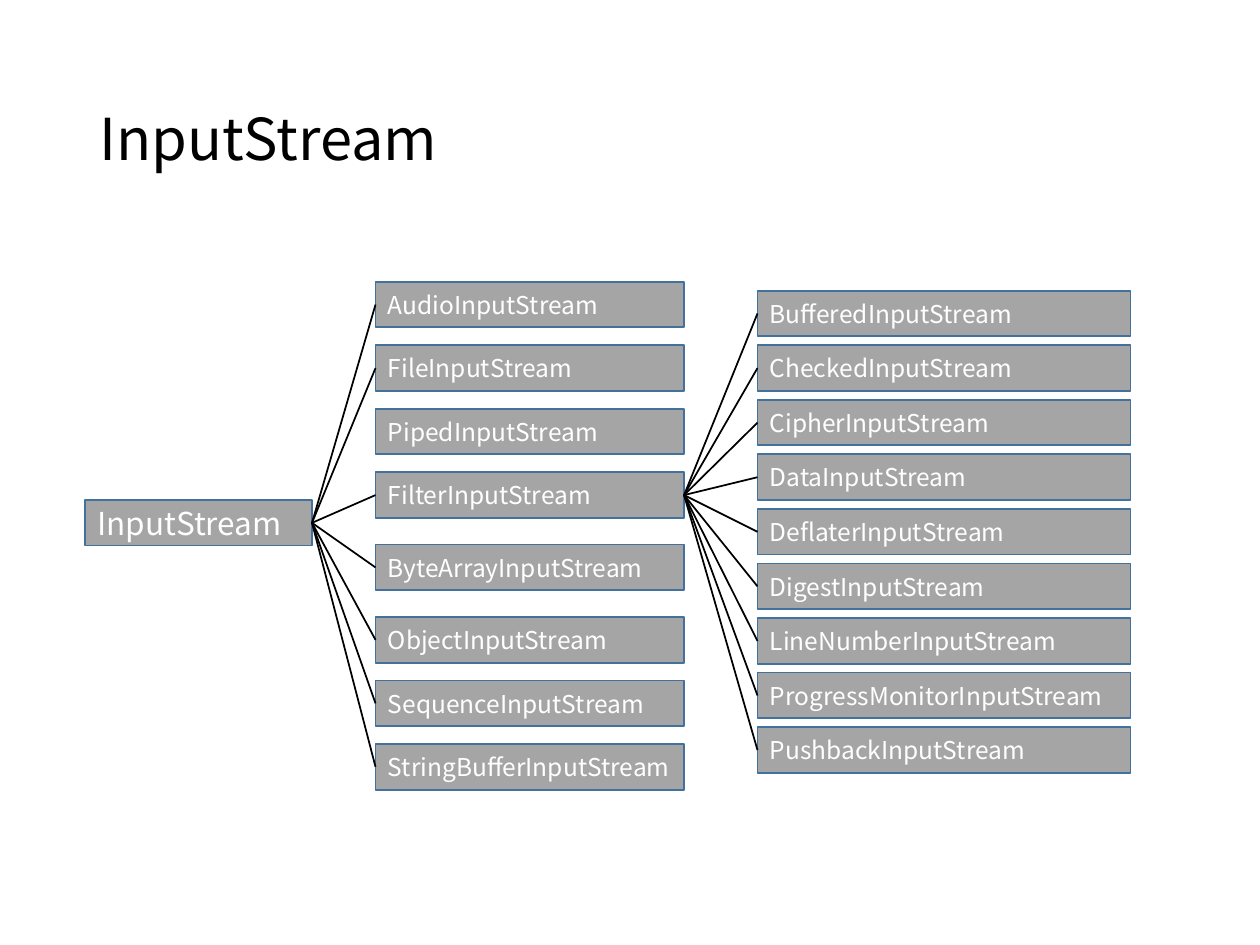
from lxml import etree
from pptx import Presentation
from pptx import util as u
from pptx.dml.color import RGBColor
from pptx.enum import shapes, text
from pptx.oxml import ns

BLACK = RGBColor(0x00, 0x00, 0x00)
WHITE = RGBColor(0xFF, 0xFF, 0xFF)
GREY = RGBColor(0xA5, 0xA5, 0xA5)
BLUE = RGBColor(0x41, 0x71, 0x9C)
FONT = "Noto Sans CJK KR"
BOX_HEIGHT = 0.92
LEFT_SITE, RIGHT_SITE = 1, 3

presentation = Presentation()
presentation.slide_width = u.Cm(25.4)
presentation.slide_height = u.Cm(19.05)
slide = presentation.slides.add_slide(presentation.slide_layouts[6])


def write(shape, words, size, color):
    frame = shape.text_frame
    frame.word_wrap = True
    frame.vertical_anchor = text.MSO_ANCHOR.MIDDLE
    paragraph = frame.paragraphs[0]
    paragraph.alignment = text.PP_ALIGN.LEFT
    run = paragraph.add_run()
    run.text = words
    for name, value in {"name": FONT, "size": u.Pt(size)}.items():
        setattr(run.font, name, value)
    run.font.color.rgb = color
    return paragraph


def add_class_box(name, left, top, width, size=14):
    shape = slide.shapes.add_shape(
        shapes.MSO_SHAPE.RECTANGLE,
        u.Cm(left), u.Cm(top), u.Cm(width), u.Cm(BOX_HEIGHT))
    shape.shadow.inherit = False
    shape.fill.solid()
    shape.fill.fore_color.rgb = GREY
    shape.line.color.rgb = BLUE
    shape.line.width = u.Pt(1)
    write(shape, name, size, WHITE)
    return shape


# Title
title = slide.shapes.add_textbox(u.Cm(1.75), u.Cm(1.02), u.Cm(21.92), u.Cm(3.68))
write(title, "InputStream", 33, BLACK).line_spacing = 0.9

# Root class
root = add_class_box("InputStream", 1.71, 10.08, 4.58, 18)

# Direct subclasses, with wider gaps around ByteArrayInputStream
subclasses = {}
top = 5.68
for name in ["AudioInputStream", "FileInputStream", "PipedInputStream",
             "FilterInputStream", "ByteArrayInputStream", "ObjectInputStream",
             "SequenceInputStream", "StringBufferInputStream"]:
    if name in ("ByteArrayInputStream", "ObjectInputStream"):
        top += 0.18
    subclasses[name] = add_class_box(name, 7.57, top, 6.22)
    top += 1.28

# Subclasses of FilterInputStream
filters = [
    add_class_box(name, 15.27, 5.86 + 1.1 * row, 7.52)
    for row, name in enumerate([
        "BufferedInputStream", "CheckedInputStream", "CipherInputStream",
        "DataInputStream", "DeflaterInputStream", "DigestInputStream",
        "LineNumberInputStream", "ProgressMonitorInputStream",
        "PushbackInputStream"])
]

# Inheritance lines; PipedInputStream has none
links = [(root, box) for name, box in subclasses.items()
         if name != "PipedInputStream"]
links += [(subclasses["FilterInputStream"], box) for box in filters]
for parent, child in links:
    connector = slide.shapes.add_connector(
        shapes.MSO_CONNECTOR.STRAIGHT, 0, 0, 0, 0)
    connector.begin_connect(parent, RIGHT_SITE)
    connector.end_connect(child, LEFT_SITE)
    connector.line.color.rgb = BLACK
    connector.line.width = u.Pt(1)
    etree.SubElement(connector.element.spPr, ns.qn("a:effectLst"))

presentation.save("out.pptx")
